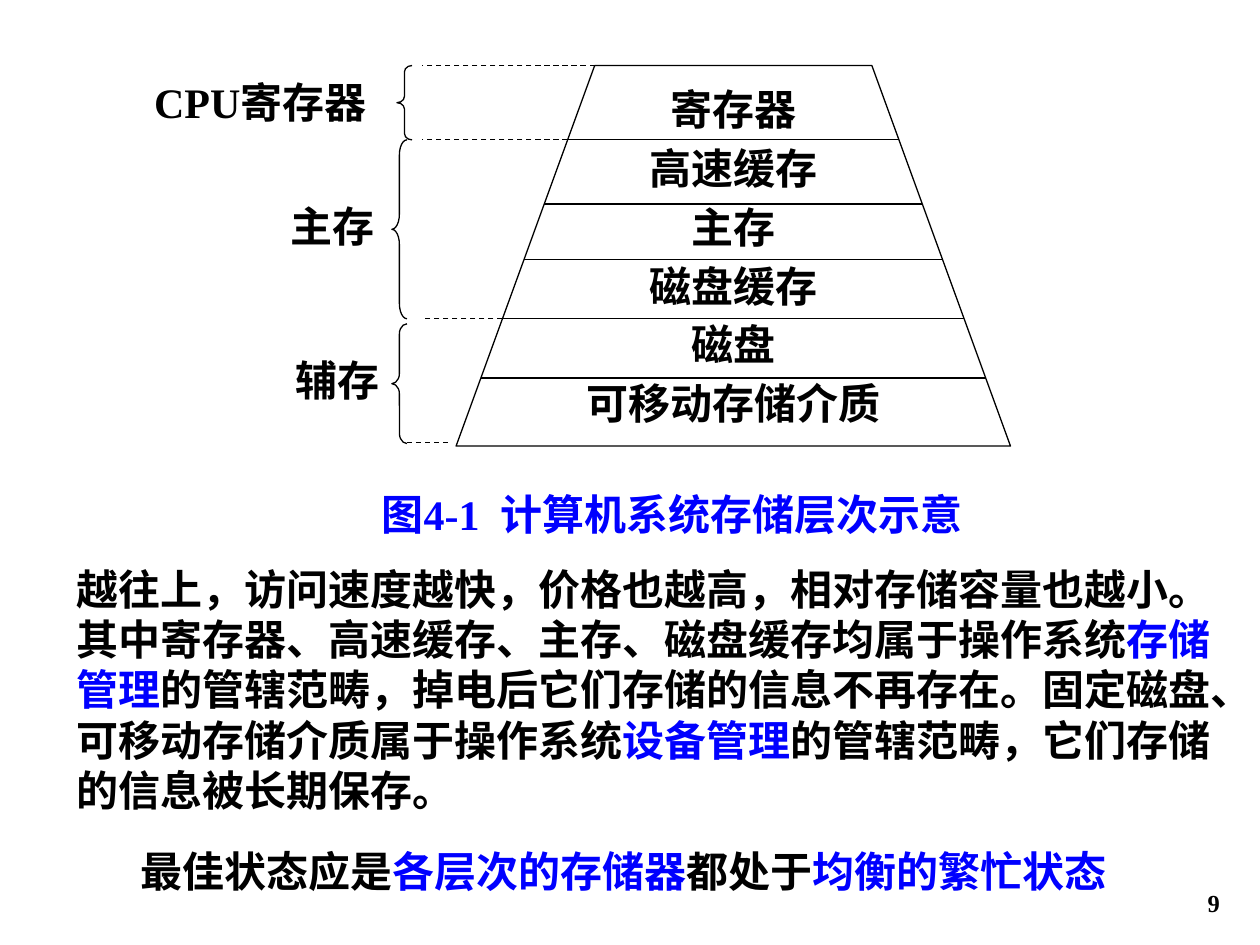
from lxml import etree
from pptx import Presentation
from pptx.dml.color import RGBColor
from pptx.enum.dml import MSO_LINE
from pptx.enum.shapes import MSO_CONNECTOR, MSO_SHAPE
from pptx.enum.text import MSO_ANCHOR, PP_ALIGN
from pptx.oxml.ns import qn
from pptx.util import Inches, Pt

BLACK = RGBColor(0, 0, 0)
BLUE = RGBColor(0, 0, 255)
WHITE = RGBColor(255, 255, 255)
SERIF, SANS, CJK = "Times New Roman", "Cabin", "Noto Sans CJK SC"

TOP, BOTTOM = 0.52, 3.54
TOP_LEFT, TOP_RIGHT = 4.72, 6.92
SPREAD = 1.1
DIVIDERS = [1.11, 1.62, 2.06, 2.53, 3]
LEVELS = ["寄存器", "高速缓存", "主存", "磁盘缓存", "磁盘", "可移动存储介质"]


def edges(y):
    """Left and right x of the pyramid at height y."""
    shift = SPREAD * (y - TOP) / (BOTTOM - TOP)
    return TOP_LEFT - shift, TOP_RIGHT + shift


def write_text(tf, paragraphs, font=SANS, size=24, color=BLACK,
               align=PP_ALIGN.LEFT, gap=0, anchor=MSO_ANCHOR.TOP,
               margins=(0.1, 0.05), wrap=True):
    """Each paragraph is a list of runs; a run is text or (text, color)."""
    tf.word_wrap = wrap
    tf.vertical_anchor = anchor
    tf.margin_left = tf.margin_right = Inches(margins[0])
    tf.margin_top = tf.margin_bottom = Inches(margins[1])
    for i, runs in enumerate(paragraphs):
        p = tf.add_paragraph() if i else tf.paragraphs[0]
        p.alignment = align
        if i and gap:
            p.space_before = Pt(gap)
        for run in runs:
            text, run_color = run if isinstance(run, tuple) else (run, color)
            r = p.add_run()
            r.text = text
            r.font.name = font
            r.font.size = Pt(size)
            r.font.bold = True
            r.font.color.rgb = run_color
            east_asian = CJK if font == CJK else SANS
            latin = r.font._element.find(qn("a:latin"))
            ea = etree.Element(qn("a:ea"), typeface=east_asian)
            latin.addnext(ea)


def add_text(slide, x, y, w, h, runs, **fmt):
    box = slide.shapes.add_textbox(Inches(x), Inches(y), Inches(w), Inches(h))
    write_text(box.text_frame, [runs], **fmt)


def add_line(slide, x1, x2, y, dashed=False):
    line = slide.shapes.add_connector(
        MSO_CONNECTOR.STRAIGHT, Inches(x1), Inches(y), Inches(x2), Inches(y))
    line.line.color.rgb = BLACK
    line.line.width = Pt(0.75)
    if dashed:
        line.line.dash_style = MSO_LINE.DASH
    etree.SubElement(line._element.spPr, qn("a:effectLst"))


def add_brace(slide, x, y, h, curve):
    sp = slide.shapes.add_shape(
        MSO_SHAPE.LEFT_BRACE, Inches(x), Inches(y), Inches(0.12), Inches(h))
    sp.adjustments[0] = curve
    sp.shadow.inherit = False
    sp.fill.background()
    sp.line.color.rgb = BLACK
    sp.line.width = Pt(0.75)


def add_pyramid(slide):
    left, right = edges(BOTTOM)
    corners = [(TOP_RIGHT, TOP), (right, BOTTOM), (left, BOTTOM)]
    builder = slide.shapes.build_freeform(
        Inches(TOP_LEFT), Inches(TOP), scale=1.0)
    builder.add_line_segments([(Inches(x), Inches(y)) for x, y in corners])
    sp = builder.convert_to_shape()
    sp.shadow.inherit = False
    sp.fill.solid()
    sp.fill.fore_color.rgb = WHITE
    sp.line.color.rgb = BLACK
    sp.line.width = Pt(0.75)
    write_text(sp.text_frame, [[level] for level in LEVELS], gap=4.8,
               align=PP_ALIGN.CENTER, anchor=MSO_ANCHOR.MIDDLE,
               margins=(0.1, 0), wrap=False)
    for y in DIVIDERS:
        add_line(slide, *edges(y), y)


def add_groups(slide):
    """Braces, guide lines and names of the three storage groups."""
    for y in (TOP, 1.11, 2.53):
        add_line(slide, edges(y)[0], 3.35, y, dashed=True)
    add_line(slide, 3.23, 3.58, 3.51, dashed=True)
    for brace in [(3.15, TOP, 0.59, 0.42), (3.11, 1.11, 1.42, 1),
                  (3.11, 2.57, 0.95, 0.67)]:
        add_brace(slide, *brace)
    for x, y, w, name in [(1.14, 0.6, 1.85, "CPU寄存器"),
                          (2.05, 1.58, 1.18, "主存"),
                          (2.05, 2.8, 1.26, "辅存")]:
        add_text(slide, x, y, w, 0.42, [name], font=SERIF,
                 align=PP_ALIGN.CENTER, margins=(0, 0.01))


def main():
    prs = Presentation()
    prs.slide_width, prs.slide_height = Inches(10), Inches(7.5)
    slide = prs.slides.add_slide(prs.slide_layouts[6])
    add_pyramid(slide)
    add_groups(slide)
    add_text(slide, 2.48, 3.83, 5.71, 0.5, ["图4-1  计算机系统存储层次示意"],
             font=SERIF, color=BLUE, align=PP_ALIGN.CENTER)
    add_text(slide, 0.51, 4.42, 9.21, 2.12, [
        "越往上，访问速度越快，价格也越高，相对存储容量也越小。"
        "其中寄存器、高速缓存、主存、磁盘缓存均属于操作系统",
        ("存储管理", BLUE),
        "的管辖范畴，掉电后它们存储的信息不再存在。"
        "固定磁盘、可移动存储介质属于操作系统",
        ("设备管理", BLUE),
        "的管辖范畴，它们存储的信息被长期保存。"])
    add_text(slide, 1.02, 6.66, 8.19, 0.51, [
        "最佳状态应是", ("各层次的存储器", BLUE),
        "都处于", ("均衡的繁忙状态", BLUE)], font=CJK)
    add_text(slide, 7.7, 6.83, 2.08, 0.5, ["9"], font=SERIF, size=14,
             align=PP_ALIGN.RIGHT, anchor=MSO_ANCHOR.BOTTOM)
    prs.save("out.pptx")


if __name__ == "__main__":
    main()
